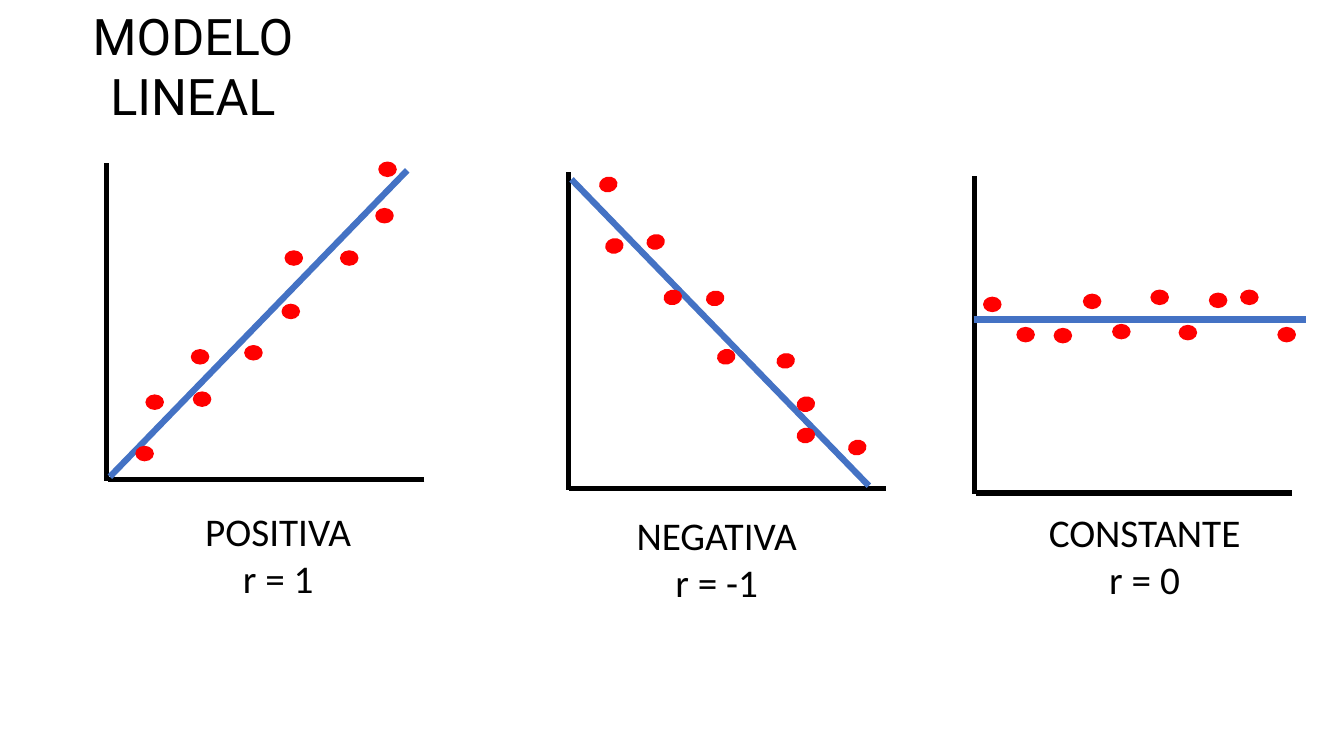
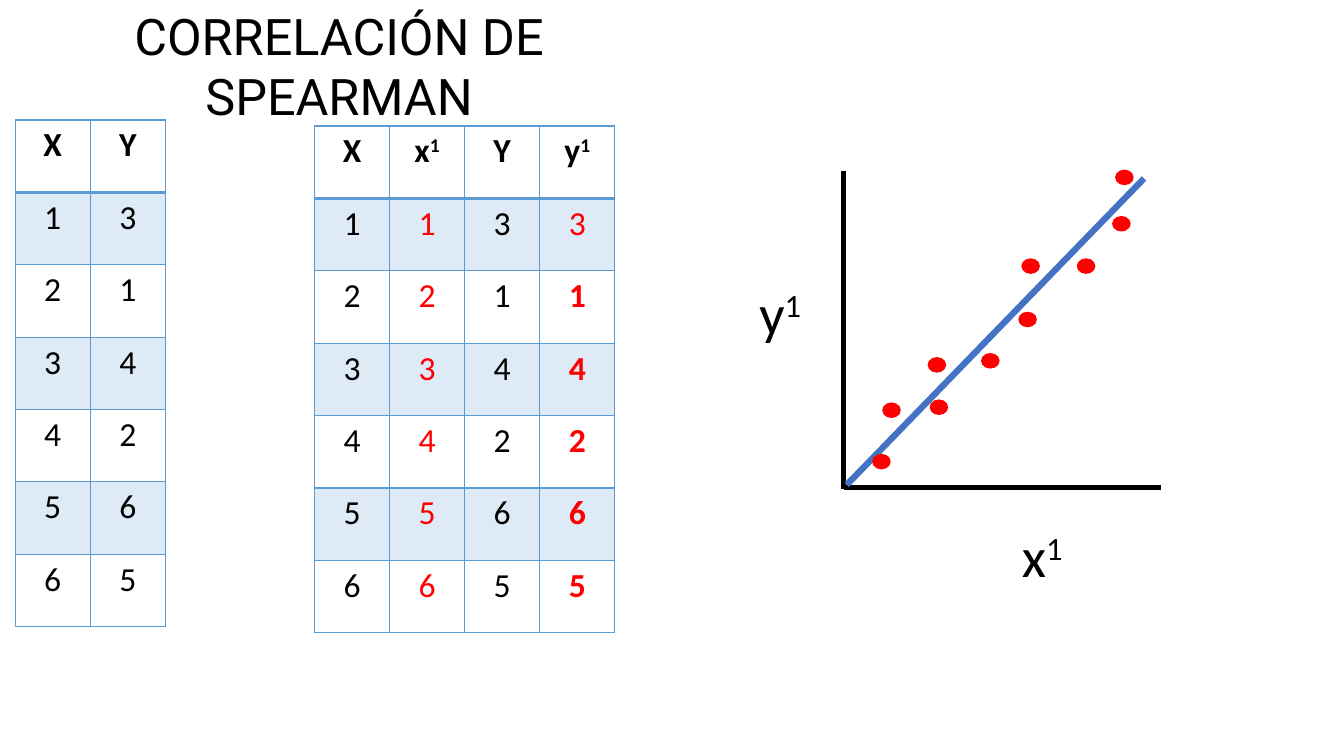
"""Build two slides on the linear model and Spearman correlation."""
from dataclasses import dataclass

from lxml import etree
from pptx import Presentation
from pptx.dml.color import RGBColor
from pptx.enum import shapes, text
from pptx.oxml.ns import qn
from pptx.slide import Slide
from pptx.text.text import TextFrame
from pptx.util import Emu, Pt

COLS, ROWS = 160, 90
UNIT = 76200
BLACK = RGBColor(0x00, 0x00, 0x00)
WHITE = RGBColor(0xFF, 0xFF, 0xFF)
RED = RGBColor(0xFF, 0x00, 0x00)
BLUE = RGBColor(0x44, 0x72, 0xC4)
GRID_BLUE = RGBColor(0x5B, 0x9B, 0xD5)
BAND = RGBColor(0xDE, 0xEB, 0xF7)
BODY_FONT, TITLE_FONT = "Calibri", "Roboto"
AXIS = 37.8
DOT_W, DOT_H = 2.04, 1.68
COL_W, ROW_H = 8.94, 8.62

Point = tuple[float, float]


@dataclass(frozen=True)
class Plot:
    """Scatter sketch: grid origin, trend ends and dot centres from it."""
    left: float
    top: float
    trend: tuple[Point, Point]
    dots: list[Point]
    turn: float = 0


@dataclass(frozen=True)
class Label:
    """Centred text box on the grid; ^ starts a superscript."""
    lines: list[str]
    left: float
    top: float
    width: float
    height: float
    size: float


@dataclass(frozen=True)
class Column:
    """Table column; values turn bold from row bold_from on."""
    head: str
    values: list[int]
    color: RGBColor = BLACK
    bold_from: int = ROWS


RISE = ((0.36, 37.32), (35.76, 0.84))
RISING_DOTS = [(4.5, 34.56), (5.7, 28.44), (11.34, 28.08), (11.1, 23.04), (17.46, 22.56),
               (21.9, 17.64), (22.26, 11.28), (28.86, 11.28), (33.06, 6.24), (33.42, 0.72)]
FALL = ((0.36, 0.84), (35.76, 37.32))
FALLING_DOTS = [(4.74, 1.44), (5.46, 8.76), (12.42, 14.88), (10.38, 8.28), (17.46, 15),
                (25.86, 22.44), (18.78, 21.96), (28.26, 27.6), (28.26, 31.32), (34.38, 32.76)]
FLAT = ((-0.12, 17.04), (39.48, 17.04))
FLAT_DOTS = [(2.1, 15.24), (6.06, 18.84), (13.98, 14.88), (10.5, 18.96), (22.02, 14.4),
             (17.46, 18.48), (25.38, 18.6), (28.98, 14.76), (32.7, 14.4), (37.14, 18.84)]

LINEAR_PLOTS = [
    Plot(12.72, 19.44, RISE, RISING_DOTS),
    Plot(67.68, 20.52, FALL, FALLING_DOTS, turn=-12.6),
    Plot(116.04, 21, FLAT, FLAT_DOTS),
]
LINEAR_LABELS = [
    Label(["POSITIVA", "r = 1"], 20.52, 59.76, 25.2, 12.48, 28),
    Label(["NEGATIVA", "r = -1"], 72.72, 60.24, 25.2, 12.48, 28),
    Label(["CONSTANTE", "r = 0"], 122.88, 59.88, 26.76, 12.48, 28),
]
RANK_PLOTS = [Plot(100.44, 20.4, RISE, RISING_DOTS)]
RANK_LABELS = [
    Label(["x^1"], 119.28, 61.44, 9.6, 9.24, 40),
    Label(["y^1"], 88.08, 32.52, 9.6, 9.24, 40),
]
X_VALUES, Y_VALUES = [1, 2, 3, 4, 5, 6], [3, 1, 4, 2, 6, 5]
X_COLUMN, Y_COLUMN = Column("X", X_VALUES), Column("Y", Y_VALUES)
RANK_COLUMNS = [X_COLUMN, Column("x^1", X_VALUES, RED),
                Y_COLUMN, Column("y^1", Y_VALUES, RED, bold_from=2)]


def grid(*units: float) -> list[Emu]:
    """Turn grid columns or rows into lengths."""
    return [Emu(round(n * UNIT)) for n in units]


def write(tf: TextFrame, lines: list[str], *, size: float, font: str = BODY_FONT,
          color: RGBColor = BLACK, bold: bool = False) -> None:
    """Write centred lines, raising whatever follows ^."""
    for i, line in enumerate(lines):
        p = tf.add_paragraph() if i else tf.paragraphs[0]
        p.alignment = text.PP_ALIGN.CENTER
        for k, part in enumerate(line.split("^")):
            r = p.add_run()
            r.text = part
            r.font.size, r.font.name, r.font.bold = Pt(size), font, bold
            r.font.color.rgb = color
            if k:
                r.font._rPr.set("baseline", "30000")


def fit(tf: TextFrame) -> None:
    """Wrap the text and let its box grow from the top."""
    tf.word_wrap = True
    tf.auto_size = text.MSO_AUTO_SIZE.SHAPE_TO_FIT_TEXT
    tf.vertical_anchor = text.MSO_ANCHOR.TOP


def add_slide(prs: Presentation, title: str, width: float) -> Slide:
    """Add a white slide with its title at the top left."""
    s = prs.slides.add_slide(prs.slide_layouts[5])
    s.background.fill.solid()
    s.background.fill.fore_color.rgb = WHITE
    sp = s.shapes.title
    sp.left, sp.top, sp.width, sp.height = grid(0, 0, width, 8.5)
    fit(sp.text_frame)
    write(sp.text_frame, [title], size=36, font=TITLE_FONT)
    return s


def add_line(s: Slide, start: Point, end: Point, color: RGBColor, weight: float) -> None:
    """Draw a straight line between two grid points."""
    sp = s.shapes.add_connector(shapes.MSO_CONNECTOR.STRAIGHT, *grid(*start, *end))
    sp.line.color.rgb, sp.line.width = color, Pt(weight)
    etree.SubElement(sp._element.spPr, qn("a:effectLst"))


def add_plot(s: Slide, plot: Plot) -> None:
    """Draw the axes, the trend line and the dots."""
    def at(x: float, y: float) -> Point:
        """Place a point of the plot on the slide grid."""
        return plot.left + x, plot.top + y

    add_line(s, at(0, 0), at(0, AXIS), BLACK, 3.75)
    add_line(s, at(AXIS, AXIS - 0.12), at(0.1, AXIS - 0.12), BLACK, 3.75)
    add_line(s, *(at(*end) for end in plot.trend), BLUE, 4.5)
    for x, y in plot.dots:
        corner = at(x - DOT_W / 2, y - DOT_H / 2)
        sp = s.shapes.add_shape(shapes.MSO_SHAPE.OVAL, *grid(*corner, DOT_W, DOT_H))
        sp.shadow.inherit = False
        sp.rotation = plot.turn
        sp.fill.solid()
        sp.fill.fore_color.rgb = sp.line.color.rgb = RED
        sp.line.width = Pt(1)


def add_label(s: Slide, label: Label) -> None:
    """Add a centred text box."""
    box = grid(label.left, label.top, label.width, label.height)
    tf = s.shapes.add_textbox(*box).text_frame
    fit(tf)
    write(tf, label.lines, size=label.size)


def set_borders(cell, **weights: float) -> None:
    """Give each named side of a cell a line of that weight."""
    tc_pr = cell._tc.get_or_add_tcPr()
    for side, weight in weights.items():
        ln = etree.SubElement(tc_pr, qn(f"a:ln{side}"), w=str(Pt(weight)))
        fill = etree.SubElement(ln, qn("a:solidFill"))
        etree.SubElement(fill, qn("a:srgbClr"), val=str(GRID_BLUE))


def add_table(s: Slide, columns: list[Column], left: float, top: float) -> None:
    """Add a banded table with a heavier line under its header."""
    n_rows, n_cols = len(columns[0].values) + 1, len(columns)
    box = grid(left, top, COL_W * n_cols, ROW_H * n_rows)
    table = s.shapes.add_table(n_rows, n_cols, *box).table
    table.first_row = table.horz_banding = False
    for row in table.rows:
        row.height = grid(ROW_H)[0]
    for c, column in enumerate(columns):
        table.columns[c].width = grid(COL_W)[0]
        for r, value in enumerate([column.head, *column.values]):
            cell = table.cell(r, c)
            set_borders(cell, L=1, R=1, T=2 if r == 1 else 1, B=1 if r else 2)
            if r % 2:
                cell.fill.solid()
                cell.fill.fore_color.rgb = BAND
            else:
                cell.fill.background()
            write(cell.text_frame, [str(value)], size=24,
                  color=column.color if r else BLACK,
                  bold=r == 0 or r >= column.bold_from)


def main() -> None:
    """Build and save both slides."""
    prs = Presentation()
    prs.slide_width, prs.slide_height = grid(COLS, ROWS)

    linear = add_slide(prs, "MODELO LINEAL", 45.96)
    ranks = add_slide(prs, "CORRELACIÓN DE SPEARMAN", 80.76)
    add_table(ranks, RANK_COLUMNS, 37.44, 15)
    add_table(ranks, [X_COLUMN, Y_COLUMN], 1.8, 14.28)
    for s, plots, labels in ((linear, LINEAR_PLOTS, LINEAR_LABELS),
                             (ranks, RANK_PLOTS, RANK_LABELS)):
        for plot in plots:
            add_plot(s, plot)
        for label in labels:
            add_label(s, label)
    prs.save("out.pptx")


main()
